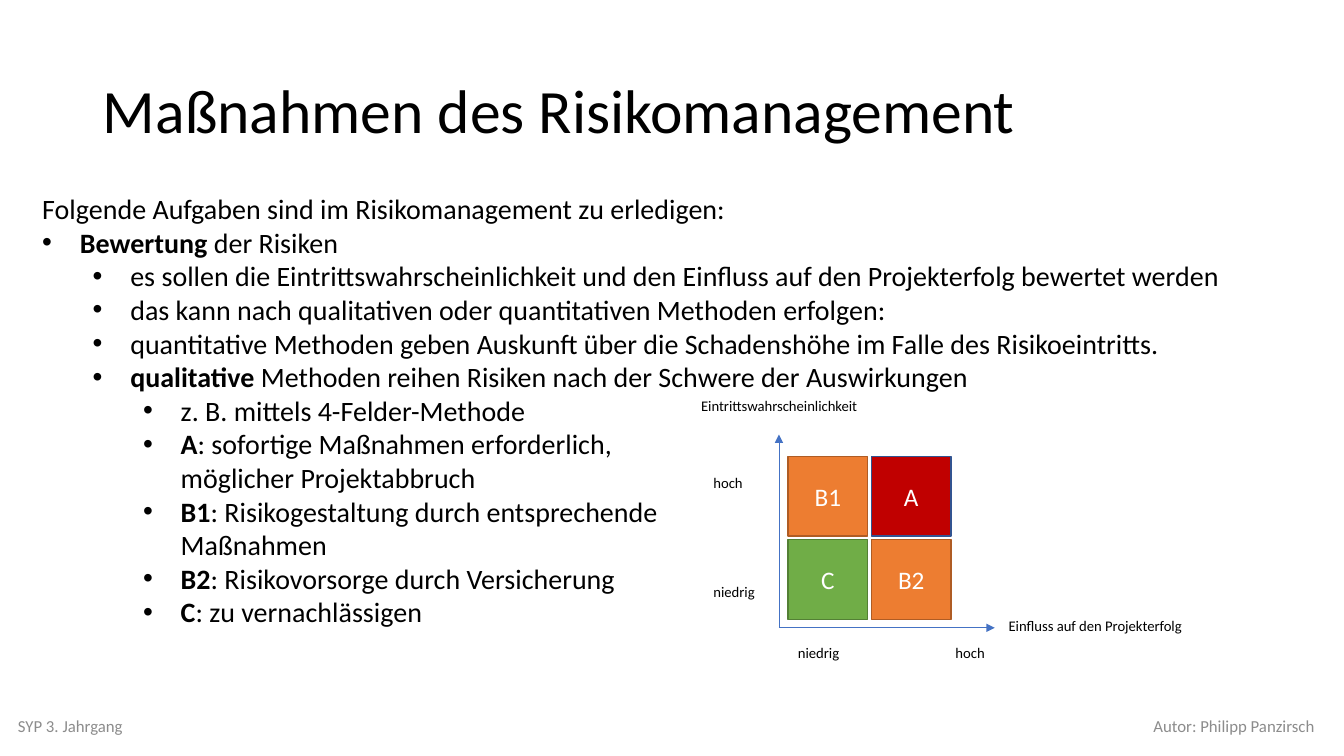
"""Build the slide on risk management measures with its four-field matrix."""
from lxml.etree import SubElement
from pptx import Presentation
from pptx.dml.color import RGBColor
from pptx.enum.shapes import MSO_CONNECTOR as Connector, MSO_SHAPE as Shape
from pptx.enum.text import MSO_ANCHOR as Anchor, MSO_AUTO_SIZE as AutoSize, PP_ALIGN as Align
from pptx.oxml.ns import qn
from pptx.util import Cm, Pt

THEME = {
    "font": "Calibri",
    "sizes": {"title": 44, "body": 20, "field": 18, "footer": 12, "label": 10.5},
    "colors": {
        "text": "000000", "footer": "8C8C8C", "field": "FFFFFF", "axis": "4472C4",
        "orange": ("ED7D31", "AF5C24"), "green": ("70AD47", "538035"), "red": ("C00000", "325491"),
    },
}
COLORS = THEME["colors"]


def add_run(paragraph, text, role, color="text", bold=False):
    run = paragraph.add_run()
    run.text = text
    formats = {"name": THEME["font"], "size": Pt(THEME["sizes"][role]), "bold": bold}
    for name, value in formats.items():
        setattr(run.font, name, value)
    run.font.color.rgb = RGBColor.from_string(COLORS[color])


def add_label(slide, text, place, role, color="text", align=Align.LEFT, wrap=False):
    box = slide.shapes.add_textbox(*map(Cm, place))
    frame = box.text_frame
    formats = {"word_wrap": wrap, "vertical_anchor": Anchor.MIDDLE if wrap else Anchor.TOP}
    for name, value in formats.items():
        setattr(frame, name, value)
    frame.paragraphs[0].alignment = align
    add_run(frame.paragraphs[0], text, role, color)


presentation = Presentation()
presentation.slide_width, presentation.slide_height = Cm(33.87), Cm(19.05)
slide = presentation.slides.add_slide(presentation.slide_layouts[1])
title, body = slide.shapes.title, slide.placeholders[1]

places = [
    (title, (2.34, 1.02, 29.21, 3.68), Anchor.MIDDLE),
    (body, (0.81, 4.7, 32.23, 12.22), Anchor.TOP),
]
for placeholder, place, anchor in places:
    for name, value in zip(("left", "top", "width", "height"), place):
        setattr(placeholder, name, Cm(value))
    frame_formats = {"auto_size": AutoSize.NONE, "word_wrap": True, "vertical_anchor": anchor}
    for name, value in frame_formats.items():
        setattr(placeholder.text_frame, name, value)

heading = title.text_frame.paragraphs[0]
heading.alignment, heading.line_spacing = Align.LEFT, 0.9
add_run(heading, "Maßnahmen des Risikomanagement", "title")

list_style = body.text_frame._txBody.find(qn("a:lstStyle"))
for level in range(3):
    style = SubElement(list_style, qn(f"a:lvl{level + 1}pPr"),
                       marL=str(Cm(0.95 + 1.27 * level)), indent=str(-Cm(0.95)))
    SubElement(style, qn("a:buFont"), typeface="Arial")
    SubElement(style, qn("a:buChar"), char="•")
    SubElement(style, qn("a:defRPr"), sz=str(THEME["sizes"]["body"] * 100))

tasks = [
    (None, "", "Folgende Aufgaben sind im Risikomanagement zu erledigen:"),
    (0, "Bewertung", " der Risiken"),
    (1, "", "es sollen die Eintrittswahrscheinlichkeit und den Einfluss auf den Projekterfolg bewertet werden"),
    (1, "", "das kann nach qualitativen oder quantitativen Methoden erfolgen:"),
    (1, "", "quantitative Methoden geben Auskunft über die Schadenshöhe im Falle des Risikoeintritts."),
    (1, "qualitative", " Methoden reihen Risiken nach der Schwere der Auswirkungen"),
    (2, "", "z. B. mittels 4-Felder-Methode"),
    (2, "A", ": sofortige Maßnahmen erforderlich, \nmöglicher Projektabbruch"),
    (2, "B1", ": Risikogestaltung durch entsprechende \nMaßnahmen"),
    (2, "B2", ": Risikovorsorge durch Versicherung"),
    (2, "C", ": zu vernachlässigen"),
]
for index, (level, term, text) in enumerate(tasks):
    frame = body.text_frame
    paragraph = frame.add_paragraph() if index else frame.paragraphs[0]
    if level is None:
        properties = paragraph._p.get_or_add_pPr()
        properties.set("marL", "0")
        properties.set("indent", "0")
        SubElement(properties, qn("a:buNone"))
    else:
        paragraph.level = level
    paragraph.space_before, paragraph.line_spacing = Pt(0), 1.0
    if term:
        add_run(paragraph, term, "body", bold=True)
    for number, line in enumerate(text.split("\n")):
        if number:
            paragraph.add_line_break()
        add_run(paragraph, line, "body")

footers = [
    ("SYP 3. Jahrgang", 0.2, Align.LEFT),
    ("Autor: Philipp Panzirsch", 21.95, Align.RIGHT),
]
for text, left, align in footers:
    add_label(slide, text, (left, 17.78, 11.43, 1.02), "footer", "footer", align, True)

origin = (19.63, 15.82)
for end in ((25.07, origin[1]), (origin[0], 10.95)):
    axis = slide.shapes.add_connector(Connector.STRAIGHT, *map(Cm, origin + end))
    axis.line.color.rgb = RGBColor.from_string(COLORS["axis"])
    axis.line.width = Pt(0.5)
    SubElement(axis.line._get_or_add_ln(), qn("a:tailEnd"), type="triangle")
    SubElement(axis._element.spPr, qn("a:effectLst"))

axis_labels = [
    ("Einfluss auf den Projekterfolg", 25.17, 15.42, 4.98),
    ("Eintrittswahrscheinlichkeit", 17.42, 9.88, 4.55),
    ("hoch", 17.73, 11.81, 1.27),
    ("niedrig", 17.73, 14.55, 1.57),
    ("niedrig", 19.86, 16.1, 1.57),
    ("hoch", 23.83, 16.1, 1.27),
]
for text, left, top, width in axis_labels:
    add_label(slide, text, (left, top, width, 0.71), "label")

field_size, field_step = 2.01, 2.1
fields = [("B1", "orange", 0, 0), ("A", "red", 1, 0), ("C", "green", 0, 1), ("B2", "orange", 1, 1)]
for text, color, column, row in fields:
    left, top = 19.86 + column * field_step, 11.5 + row * field_step
    field = slide.shapes.add_shape(Shape.RECTANGLE, *map(Cm, (left, top, field_size, field_size)))
    field.shadow.inherit = False
    fill, outline = map(RGBColor.from_string, COLORS[color])
    field.fill.solid()
    field.fill.fore_color.rgb = fill
    field.line.color.rgb = outline
    field.line.width = Pt(1)
    field.text_frame.vertical_anchor = Anchor.MIDDLE
    field.text_frame.paragraphs[0].alignment = Align.CENTER
    add_run(field.text_frame.paragraphs[0], text, "field", "field")

presentation.save("out.pptx")
